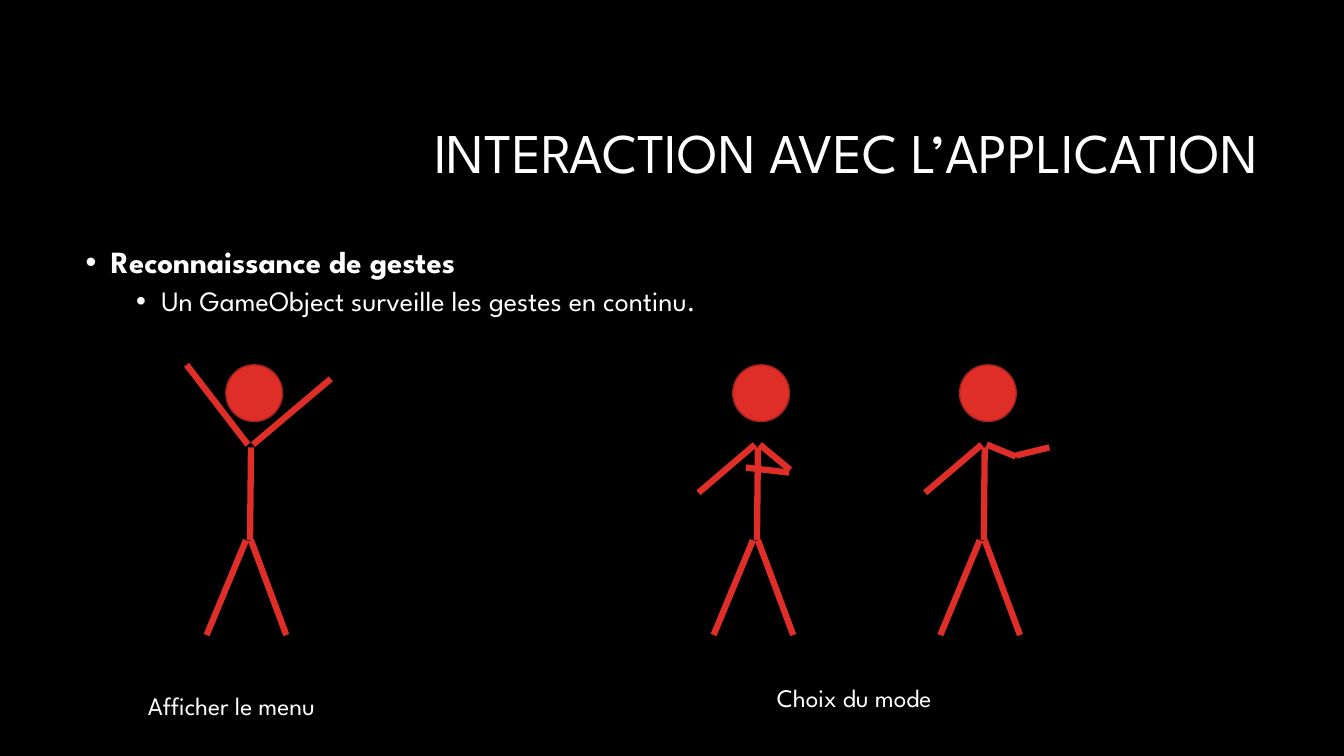
"""Build the slide that shows the gestures used to control the application."""
from lxml import etree
from pptx import Presentation
from pptx.dml.color import RGBColor
from pptx.enum.shapes import MSO_CONNECTOR, MSO_SHAPE
from pptx.enum.text import MSO_ANCHOR, MSO_AUTO_SIZE, PP_ALIGN
from pptx.oxml.ns import qn
from pptx.util import Pt

STRAIGHT = MSO_CONNECTOR.STRAIGHT
OVAL = MSO_SHAPE.OVAL
MIDDLE, TOP = MSO_ANCHOR.MIDDLE, MSO_ANCHOR.TOP
LEFT, RIGHT = PP_ALIGN.LEFT, PP_ALIGN.RIGHT
NO_FIT = MSO_AUTO_SIZE.NONE

FONT = "League Spartan"
COLORS = {"back": "000000", "text": "FFFFFF", "body": "DF2E28", "edge": "A5221E"}

TITLE = "INTERACTION AVEC L’APPLICATION"
TITLE_FRAME = (184.3, 60.5, 721.4, 101.5)
BULLETS = [
    {"text": "Reconnaissance de gestes", "size": 22, "bold": True, "indent": 18},
    {"text": "Un GameObject surveille les gestes en continu.", "size": 20,
     "level": 1, "indent": 54, "before": 5},
]
BULLETS_FRAME = (54, 172.8, 851.8, 316.8)
CAPTIONS = [
    ("Afficher le menu", (98.6, 489.6, 159.8, 29)),
    ("Choix du mode", (547.9, 483.8, 151.9, 29)),
]

HEAD_TOP, HEAD_SIZE, LIMB_WIDTH = 260.6, 40.5, 4.5
LEFT_SHOULDER, RIGHT_SHOULDER = (15.8, 57), (19.4, 57)
TRUNK = [
    ((-13.7, 193), (14.4, 125.3)),
    ((43.2, 193), (18, 125.3)),
    ((17.3, 125.3), (18, 59)),
]
RESTING_ARM = ((-24.5, 91.4), LEFT_SHOULDER)
FIGURES = [
    (161.3, [((-28, 0), LEFT_SHOULDER), ((75, 10), RIGHT_SHOULDER)]),
    (523.4, [RESTING_ARM, ((41, 75), RIGHT_SHOULDER), ((40.3, 77), (9.4, 73.4))]),
    (685.4, [RESTING_ARM, ((40.3, 65.5), RIGHT_SHOULDER), ((40.3, 64.8), (64.1, 59))]),
]


def color(name):
    return RGBColor.from_string(COLORS[name])


def place(box, frame):
    box.left, box.top, box.width, box.height = map(Pt, frame)


def write(para, text, size=18, bold=False, align=LEFT, level=0, indent=0,
          before=0, spacing=1.0):
    para.level = level
    para.alignment = align
    para.line_spacing = spacing
    para.space_before = Pt(before)
    if indent:
        properties = para._p.get_or_add_pPr()
        properties.set("marL", str(Pt(indent)))
        properties.set("indent", str(Pt(-18)))
        etree.SubElement(properties, qn("a:buFont")).set("typeface", "Arial")
        etree.SubElement(properties, qn("a:buChar")).set("char", "•")
    span = para.add_run()
    span.text = text
    span.font.name = FONT
    span.font.size = Pt(size)
    span.font.bold = bold
    span.font.color.rgb = color("text")


def draw_limb(page, left, start, end):
    limb = page.shapes.add_connector(
        STRAIGHT, Pt(left + start[0]), Pt(HEAD_TOP + start[1]),
        Pt(left + end[0]), Pt(HEAD_TOP + end[1]))
    limb.line.color.rgb = color("body")
    limb.line.width = Pt(LIMB_WIDTH)
    etree.SubElement(limb._element.spPr, qn("a:effectLst"))


def draw_figure(page, left, arms):
    for start, end in TRUNK + arms:
        draw_limb(page, left, start, end)
    head = page.shapes.add_shape(OVAL, Pt(left), Pt(HEAD_TOP), Pt(HEAD_SIZE), Pt(HEAD_SIZE))
    head.shadow.inherit = False
    head.fill.solid()
    head.fill.fore_color.rgb = color("body")
    head.line.color.rgb = color("edge")
    head.line.width = Pt(1)


def main():
    deck = Presentation()
    deck.slide_width, deck.slide_height = Pt(960), Pt(540)
    page = deck.slides.add_slide(deck.slide_layouts[1])
    page.background.fill.solid()
    page.background.fill.fore_color.rgb = color("back")

    title, body = page.shapes.title, page.placeholders[1]
    for box, frame, anchor in ((title, TITLE_FRAME, MIDDLE), (body, BULLETS_FRAME, TOP)):
        place(box, frame)
        box.text_frame.auto_size = NO_FIT
        box.text_frame.vertical_anchor = anchor
    write(title.text_frame.paragraphs[0], TITLE, size=40, align=RIGHT, spacing=0.9)
    for index, bullet in enumerate(BULLETS):
        frame = body.text_frame
        para = frame.add_paragraph() if index else frame.paragraphs[0]
        write(para, spacing=0.9, **bullet)

    for left, arms in FIGURES:
        draw_figure(page, left, arms)
    for text, frame in CAPTIONS:
        caption = page.shapes.add_textbox(*map(Pt, frame))
        caption.text_frame.word_wrap = True
        write(caption.text_frame.paragraphs[0], text)
    deck.save("out.pptx")


if __name__ == "__main__":
    main()
